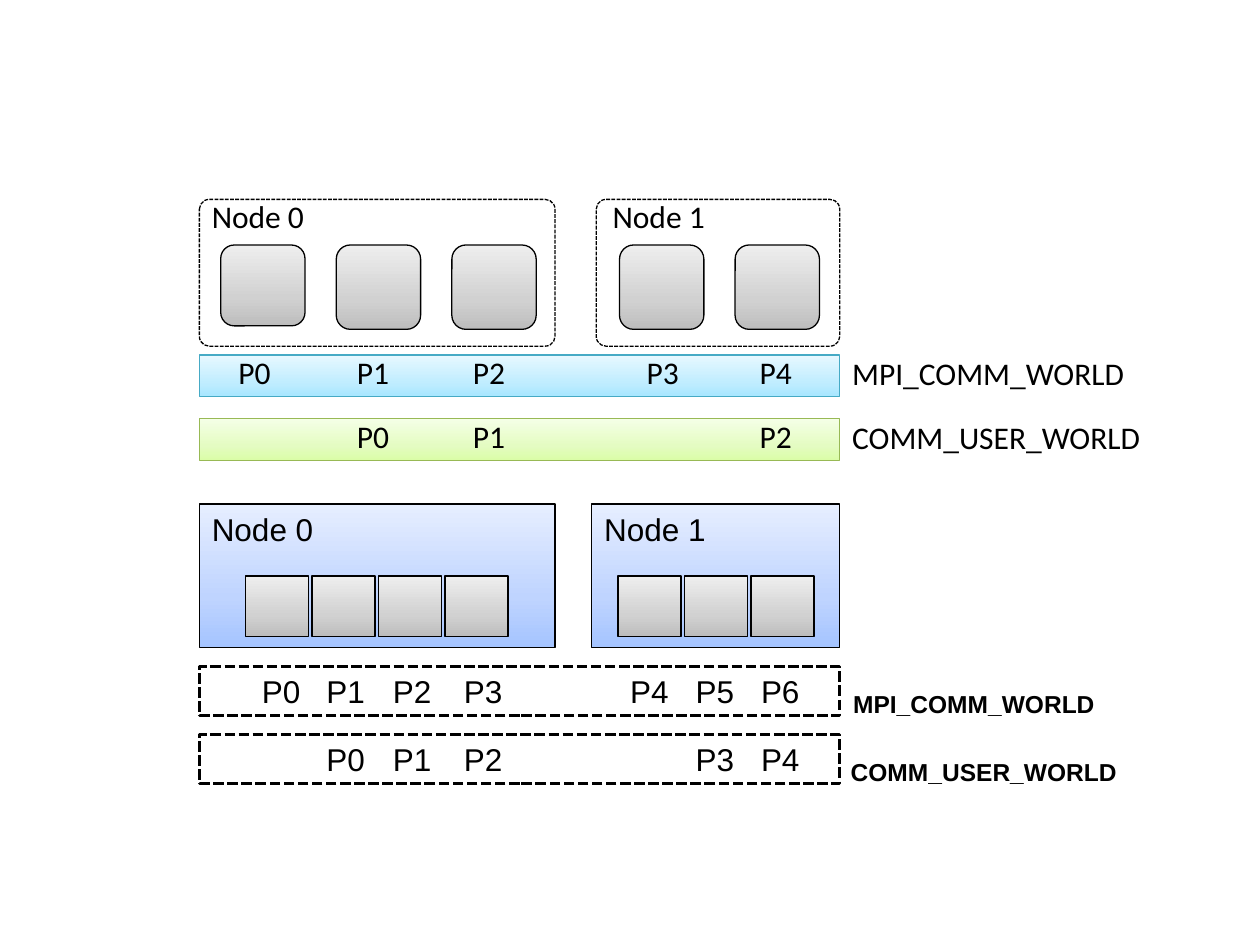
from copy import deepcopy

from pptx import Presentation
from pptx.dml.color import RGBColor
from pptx.enum.dml import MSO_LINE
from pptx.enum.shapes import MSO_SHAPE
from pptx.enum.text import MSO_ANCHOR, MSO_AUTO_SIZE, PP_ALIGN
from pptx.oxml.ns import qn
from pptx.util import Cm, Pt

COLORS = {"black": "000000", "white": "FFFFFF", "blue_line": "46AAC5", "green_line": "98B955"}
# Gradient colours from bottom to top
GRADIENTS = {
    "gray": ("BDBDBD", "D1D1D1", "EEEEEE"),
    "cyan": ("A7E6FF", "C1EDFF", "E7F8FF"),
    "green": ("DAFDA7", "E4FCC2", "F5FFE7"),
    "blue": ("A4C4FF", "BFD4FF", "E6EEFF"),
}
GRADIENT_POSITIONS = (0, 0.35, 1)
CALIBRI = {"name": "Calibri", "size": Pt(18)}
ARIAL = {"name": "Arial", "size": Pt(18)}
ARIAL_BOLD = {"name": "Arial", "size": Pt(14), "bold": True}
TIGHT = {"margin_left": Cm(0.1), "margin_right": Cm(0.1)}
ROW_WIDTH = 12.91


def set_attributes(target, values):
    for name, value in values.items():
        setattr(target, name, value)


def paint_gradient(shape, colors):
    shape.fill.gradient()
    shape.fill.gradient_angle = 90
    stop_list = shape._element.spPr.find(".//" + qn("a:gsLst"))
    stop_list.insert(1, deepcopy(stop_list[0]))
    for stop, position, color in zip(shape.fill.gradient_stops, GRADIENT_POSITIONS, colors):
        stop.position = position
        stop.color.rgb = RGBColor.from_string(color)


def write(shape, text, font, align=PP_ALIGN.LEFT, **frame_format):
    frame = shape.text_frame
    set_attributes(frame, {"word_wrap": True, "vertical_anchor": MSO_ANCHOR.TOP, **frame_format})
    paragraph = frame.paragraphs[0]
    paragraph.text = text
    paragraph.alignment = align
    set_attributes(paragraph.font, font)
    paragraph.font.color.rgb = RGBColor.from_string(COLORS["black"])


def add_label(slide, box, text, font, align=PP_ALIGN.LEFT, **frame_format):
    shape = slide.shapes.add_textbox(*map(Cm, box))
    write(shape, text, font, align, auto_size=MSO_AUTO_SIZE.SHAPE_TO_FIT_TEXT, **frame_format)


def add_box(slide, box, fill=None, line="black", width=0.75, dashed=False, rounding=None):
    kind = MSO_SHAPE.RECTANGLE if rounding is None else MSO_SHAPE.ROUNDED_RECTANGLE
    shape = slide.shapes.add_shape(kind, *map(Cm, box))
    shape.shadow.inherit = False
    if rounding is not None:
        shape.adjustments[0] = rounding
    if fill in GRADIENTS:
        paint_gradient(shape, GRADIENTS[fill])
    elif fill:
        shape.fill.solid()
        shape.fill.fore_color.rgb = RGBColor.from_string(COLORS[fill])
    else:
        shape.fill.background()
    shape.line.color.rgb = RGBColor.from_string(COLORS[line])
    shape.line.width = Pt(width)
    if dashed:
        shape.line.dash_style = MSO_LINE.SQUARE_DOT
    return shape


def add_ranks(slide, left, top, width, centers, members, font, **frame_format):
    """Number the member processes P0, P1, ... below their cells."""
    for rank, member in enumerate(members):
        box = (left + centers[member] - width / 2, top, width, 1.02)
        add_label(slide, box, f"P{rank}", font, PP_ALIGN.CENTER, **frame_format)


def add_rounded_nodes(slide, left, top):
    """Dashed nodes with spaced processes and two coloured communicator bars."""
    # Nodes: offset, width, process offset, title offset, process heights
    nodes = ((0, 7.17, 0.43, 0, (1.63, 1.7, 1.7)), (8.0, 4.91, 0.47, 0.08, (1.7, 1.7)))
    for number, (offset, width, inset, title_inset, heights) in enumerate(nodes):
        node_left = left + offset
        add_box(slide, (node_left, top, width, 2.96), dashed=True, rounding=0.067)
        for column, height in enumerate(heights):
            box = (node_left + inset + column * 2.33, top + 0.92, 1.7, height)
            add_box(slide, box, "gray", rounding=0.167)
        title_box = (node_left + title_inset, top - 0.18, 2.74, 1.02)
        add_label(slide, title_box, f"Node {number}", CALIBRI)

    # Communicators
    centers = (1.11, 3.5, 5.84, 9.34, 11.62)
    bars = (("MPI_COMM_WORLD", 3.14, "cyan", "blue_line", range(5)),
            ("COMM_USER_WORLD", 4.42, "green", "green_line", (1, 2, 4)))
    for name, offset, fill, line, members in bars:
        bar_top = top + offset
        add_box(slide, (left, bar_top, ROW_WIDTH, 0.84), fill, line)
        add_ranks(slide, left, bar_top - 0.16, 1.47, centers, members, CALIBRI)
        add_label(slide, (left + ROW_WIDTH, bar_top - 0.14, 6.65, 1.02), name, CALIBRI)


def add_square_nodes(slide, left, top):
    """Blue nodes with packed processes and two dashed communicator rows."""
    # Nodes: offset, width, process offset, process count
    nodes = ((0, 7.17, 0.93, 4), (7.91, 5, 0.53, 3))
    for number, (offset, width, inset, count) in enumerate(nodes):
        node_left = left + offset
        node = add_box(slide, (node_left, top, width, 2.9), "blue")
        write(node, f"Node {number}", ARIAL)
        for column in range(count):
            box = (node_left + inset + column * 1.34, top + 1.45, 1.27, 1.22)
            add_box(slide, box, "gray")

    # Communicators
    centers = (1.65, 2.95, 4.29, 5.72, 9.07, 10.39, 11.71)
    rows = (("MPI_COMM_WORLD", 3.28, 13.08, range(7)),
            ("COMM_USER_WORLD", 4.65, 13.03, (1, 2, 3, 5, 6)))
    for name, offset, name_offset, members in rows:
        row_top = top + offset
        add_box(slide, (left, row_top, ROW_WIDTH, 0.99), "white", width=2, dashed=True)
        add_ranks(slide, left, row_top - 0.01, 1.07, centers, members, ARIAL, **TIGHT)
        name_box = (left + name_offset, row_top + 0.3, 5.6, 0.86)
        add_label(slide, name_box, name, ARIAL_BOLD, **TIGHT, vertical_anchor=MSO_ANCHOR.BOTTOM)


def main():
    presentation = Presentation()
    presentation.slide_width, presentation.slide_height = Cm(25.4), Cm(19.05)
    slide = presentation.slides.add_slide(presentation.slide_layouts[6])
    add_rounded_nodes(slide, 4.02, 4.02)
    add_square_nodes(slide, 4.02, 10.16)
    presentation.save("out.pptx")


if __name__ == "__main__":
    main()
